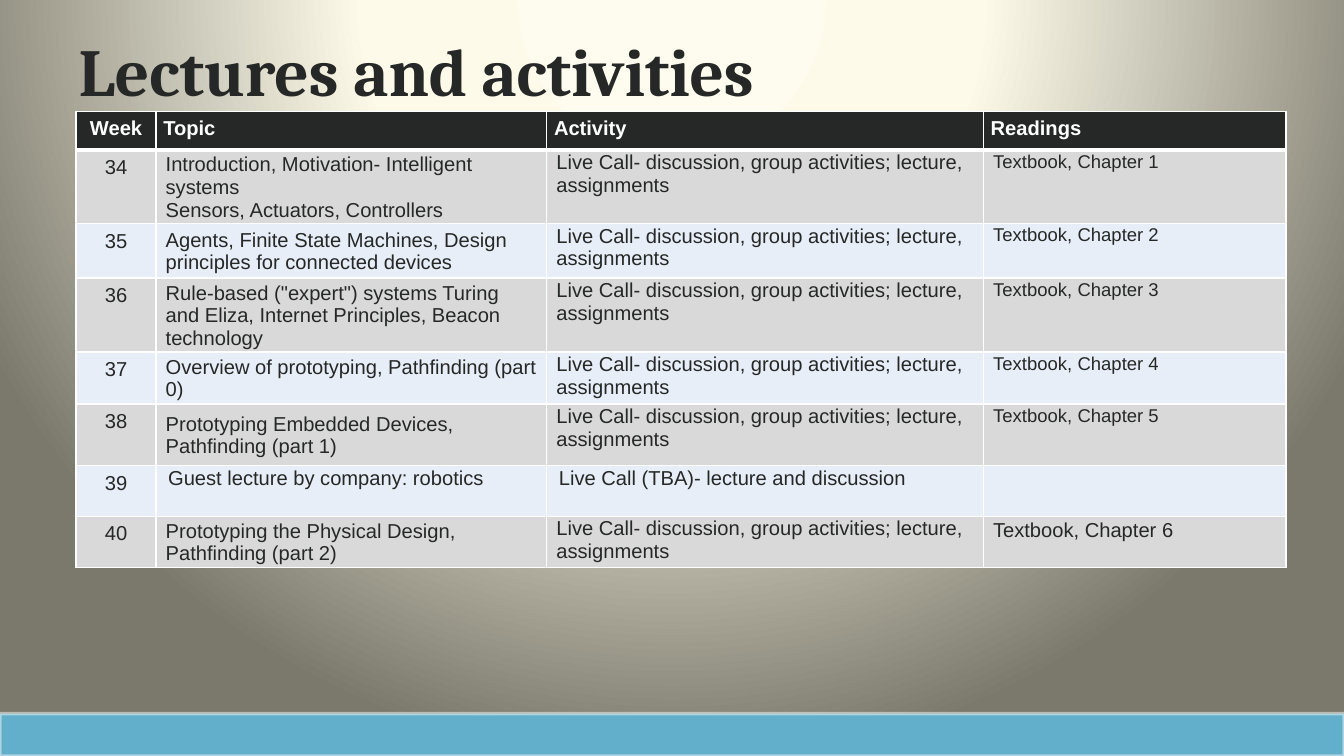
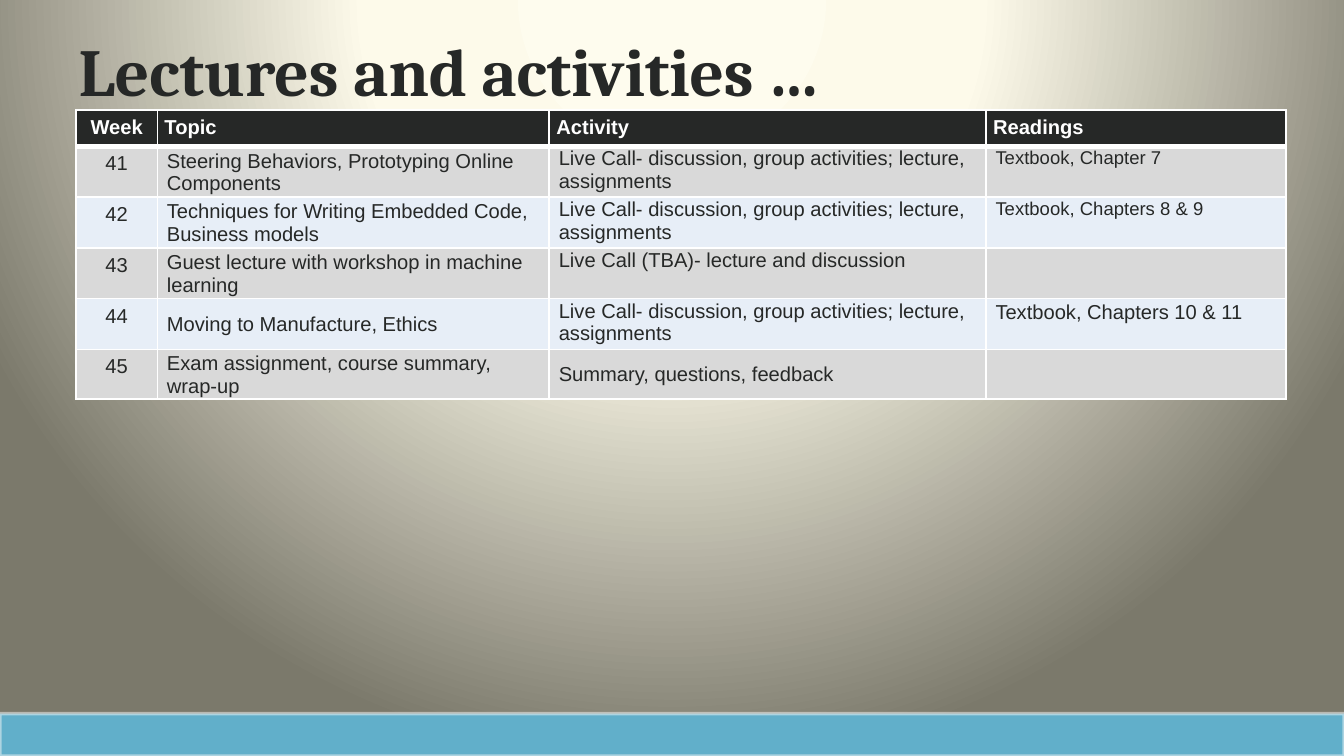
from dataclasses import dataclass

from lxml import etree
from pptx import Presentation
from pptx.dml.color import RGBColor
from pptx.enum.shapes import MSO_SHAPE
from pptx.enum.text import MSO_ANCHOR, PP_ALIGN
from pptx.oxml import parse_xml
from pptx.oxml.ns import nsdecls, qn
from pptx.presentation import Presentation as Deck
from pptx.slide import Slide
from pptx.table import _Cell
from pptx.util import Inches, Pt

RECTANGLE = MSO_SHAPE.RECTANGLE
TOP, MIDDLE = MSO_ANCHOR.TOP, MSO_ANCHOR.MIDDLE
LEFT, CENTER = PP_ALIGN.LEFT, PP_ALIGN.CENTER

COLORS = {
    "ink": "262827", "white": "FFFFFF", "band": "61AFCA", "band edge": "F9F9F9",
    "odd row": "D9D9D9", "even row": "E7EEF7",
}
GLOW = ((0, "FEFCEE"), (40, "FDFAEA"), (100, "7B796B"))
TITLE_FONT, BODY_FONT = "Cambria", "Arial"

WIDTH, HEIGHT = 11.11, 6.25
BAND_HEIGHT = 0.35
MARGIN = 0.63
TITLE_TOP, TITLE_HEIGHT = 0.22, 0.69

HEADINGS = ("Week", "Topic", "Activity", "Readings")
LIVE = "Live Call- discussion, group activities; lecture, assignments"
GUEST = "Live Call (TBA)- lecture and discussion"


@dataclass(frozen=True)
class Style:
    """How the text of one cell is set; inset is the side margin in inches."""
    inset: float = 0.08
    top: float = 0.01
    anchor: MSO_ANCHOR = TOP
    align: PP_ALIGN = LEFT
    size: int = 12
    bold: bool = False
    color: str = "ink"
    spacing: float = 1.0


WEEK_HEADING = Style(0.01, 0.05, align=CENTER, bold=True, color="white")
HEADING = Style(0.06, 0.05, bold=True, color="white")
WEEK = Style(0.01, 0.05, align=CENTER)
CENTERED = Style(anchor=MIDDLE)
PLAIN = Style()
INDENTED = Style(inset=0.1)
READING = Style(top=0, size=11, spacing=1.07)
LARGE_READING = Style(spacing=1.07)


@dataclass(frozen=True)
class Lecture:
    week: int
    topic: str
    activity: str = LIVE
    reading: str = ""
    height: float = 0.42
    topic_style: Style = CENTERED
    activity_style: Style = PLAIN
    reading_style: Style = READING


@dataclass(frozen=True)
class Schedule:
    title_end: str
    top: float
    heading_height: float
    columns: tuple[float, ...]
    lectures: tuple[Lecture, ...]


SCHEDULES = (
    Schedule("and activities", 0.92, 0.32, (0.66, 3.23, 3.61, 2.5), (
        Lecture(34, "Introduction, Motivation- Intelligent systems\n"
                    "Sensors, Actuators, Controllers", reading="Textbook, Chapter 1"),
        Lecture(35, "Agents, Finite State Machines, Design principles for connected devices",
                reading="Textbook, Chapter 2", height=0.45),
        Lecture(36, 'Rule-based ("expert") systems Turing and Eliza, Internet Principles, '
                    "Beacon technology", reading="Textbook, Chapter 3", height=0.49),
        Lecture(37, "Overview of prototyping, Pathfinding (part 0)",
                reading="Textbook, Chapter 4", height=0.43),
        Lecture(38, "Prototyping Embedded Devices, Pathfinding (part 1)",
                reading="Textbook, Chapter 5", height=0.51),
        Lecture(39, "Guest lecture by company: robotics", GUEST,
                topic_style=INDENTED, activity_style=INDENTED),
        Lecture(40, "Prototyping the Physical Design, Pathfinding (part 2)",
                reading="Textbook, Chapter 6", reading_style=LARGE_READING),
    )),
    Schedule("and activities …", 0.91, 0.3, (0.67, 3.24, 3.61, 2.48), (
        Lecture(41, "Steering Behaviors, Prototyping Online Components",
                reading="Textbook, Chapter 7"),
        Lecture(42, "Techniques for Writing Embedded Code, Business models",
                reading="Textbook, Chapters 8 & 9"),
        Lecture(43, "Guest lecture with workshop in machine learning", GUEST),
        Lecture(44, "Moving to Manufacture, Ethics",
                reading="Textbook, Chapters 10 & 11", reading_style=LARGE_READING),
        Lecture(45, "Exam assignment, course summary, wrap-up",
                "Summary, questions, feedback", height=0.41, activity_style=CENTERED),
    )),
)


def rgb(name: str) -> RGBColor:
    return RGBColor.from_string(COLORS[name])


def add_glow(slide: Slide) -> None:
    """Fill the background with light spreading from above the slide."""
    stops = "".join(f'<a:gs pos="{share * 1000}"><a:srgbClr val="{color}"/></a:gs>'
                    for share, color in GLOW)
    background = parse_xml(
        f'<p:bg {nsdecls("p", "a")}><p:bgPr><a:gradFill rotWithShape="1">'
        f'<a:gsLst>{stops}</a:gsLst><a:path path="circle">'
        '<a:fillToRect l="50000" t="-80000" r="50000" b="180000"/></a:path>'
        '</a:gradFill><a:effectLst/></p:bgPr></p:bg>')
    slide.element.cSld.insert(0, background)


def add_band(slide: Slide) -> None:
    band = slide.shapes.add_shape(RECTANGLE, 0, Inches(HEIGHT - BAND_HEIGHT),
                                  Inches(WIDTH), Inches(BAND_HEIGHT))
    band.shadow.inherit = False
    band.fill.solid()
    band.fill.fore_color.rgb = rgb("band")
    band.line.color.rgb = rgb("band edge")
    band.line.width = Pt(2)
    edge_color = band.line.fill._xPr.find(f'.//{qn("a:srgbClr")}')
    etree.SubElement(edge_color, qn("a:alpha"), val="49000")


def add_title(slide: Slide, ending: str) -> None:
    title = slide.shapes.add_textbox(Inches(MARGIN), Inches(TITLE_TOP),
                                     Inches(WIDTH - 2 * MARGIN), Inches(TITLE_HEIGHT))
    frame = title.text_frame
    frame.word_wrap = True
    frame.vertical_anchor = MIDDLE
    frame.margin_left = frame.margin_top = Inches(0.02)
    frame.margin_right = frame.margin_bottom = 0
    for words, tracking in (("Lectures ", 0), (ending, -10)):
        run = frame.paragraphs[0].add_run()
        run.text = words
        run.font.name, run.font.size, run.font.bold = TITLE_FONT, Pt(40), True
        run.font.color.rgb = rgb("ink")
        run.font._element.set("spc", str(tracking))


def set_borders(cell: _Cell, bottom: int) -> None:
    """Draw white borders, one point wide except for the bottom one."""
    properties = cell._tc.get_or_add_tcPr()
    for position, (side, width) in enumerate((("L", 1), ("R", 1), ("T", 1), ("B", bottom))):
        properties.insert(position, parse_xml(
            f'<a:ln{side} {nsdecls("a")} w="{Pt(width)}"><a:solidFill>'
            f'<a:srgbClr val="{COLORS["white"]}"/></a:solidFill></a:ln{side}>'))


def fill_cell(cell: _Cell, text: str, style: Style, fill: str, bottom: int = 1) -> None:
    cell.fill.solid()
    cell.fill.fore_color.rgb = rgb(fill)
    set_borders(cell, bottom)
    cell.vertical_anchor = style.anchor
    cell.margin_left = cell.margin_right = Inches(style.inset)
    cell.margin_top, cell.margin_bottom = Inches(style.top), 0
    frame = cell.text_frame
    for index, line in enumerate(text.split("\n")):
        paragraph = frame.add_paragraph() if index else frame.paragraphs[0]
        paragraph.alignment = style.align
        paragraph.line_spacing = style.spacing
        if line:
            run = paragraph.add_run()
            run.text = line
            run.font.name, run.font.size = BODY_FONT, Pt(style.size)
            run.font.bold = style.bold
            run.font.color.rgb = rgb(style.color)


def add_schedule(slide: Slide, schedule: Schedule) -> None:
    heights = [schedule.heading_height] + [lecture.height for lecture in schedule.lectures]
    table = slide.shapes.add_table(
        len(heights), len(HEADINGS), Inches(MARGIN), Inches(schedule.top),
        Inches(sum(schedule.columns)), Inches(sum(heights))).table
    table.horz_banding = False
    for column, width in zip(table.columns, schedule.columns):
        column.width = Inches(width)
    for row, height in zip(table.rows, heights):
        row.height = Inches(height)

    for column, heading in enumerate(HEADINGS):
        style = HEADING if column else WEEK_HEADING
        fill_cell(table.cell(0, column), heading, style, "ink", bottom=3)
    for row, lecture in enumerate(schedule.lectures, start=1):
        fill = "odd row" if row % 2 else "even row"
        entries = ((str(lecture.week), WEEK), (lecture.topic, lecture.topic_style),
                   (lecture.activity, lecture.activity_style),
                   (lecture.reading, lecture.reading_style))
        for column, (text, style) in enumerate(entries):
            fill_cell(table.cell(row, column), text, style, fill)


def add_schedule_slide(deck: Deck, schedule: Schedule) -> None:
    slide = deck.slides.add_slide(deck.slide_layouts[6])
    add_glow(slide)
    add_band(slide)
    add_title(slide, schedule.title_end)
    add_schedule(slide, schedule)


def main() -> None:
    deck = Presentation()
    deck.slide_width, deck.slide_height = Inches(WIDTH), Inches(HEIGHT)
    for schedule in SCHEDULES:
        add_schedule_slide(deck, schedule)
    deck.save("out.pptx")


if __name__ == "__main__":
    main()
